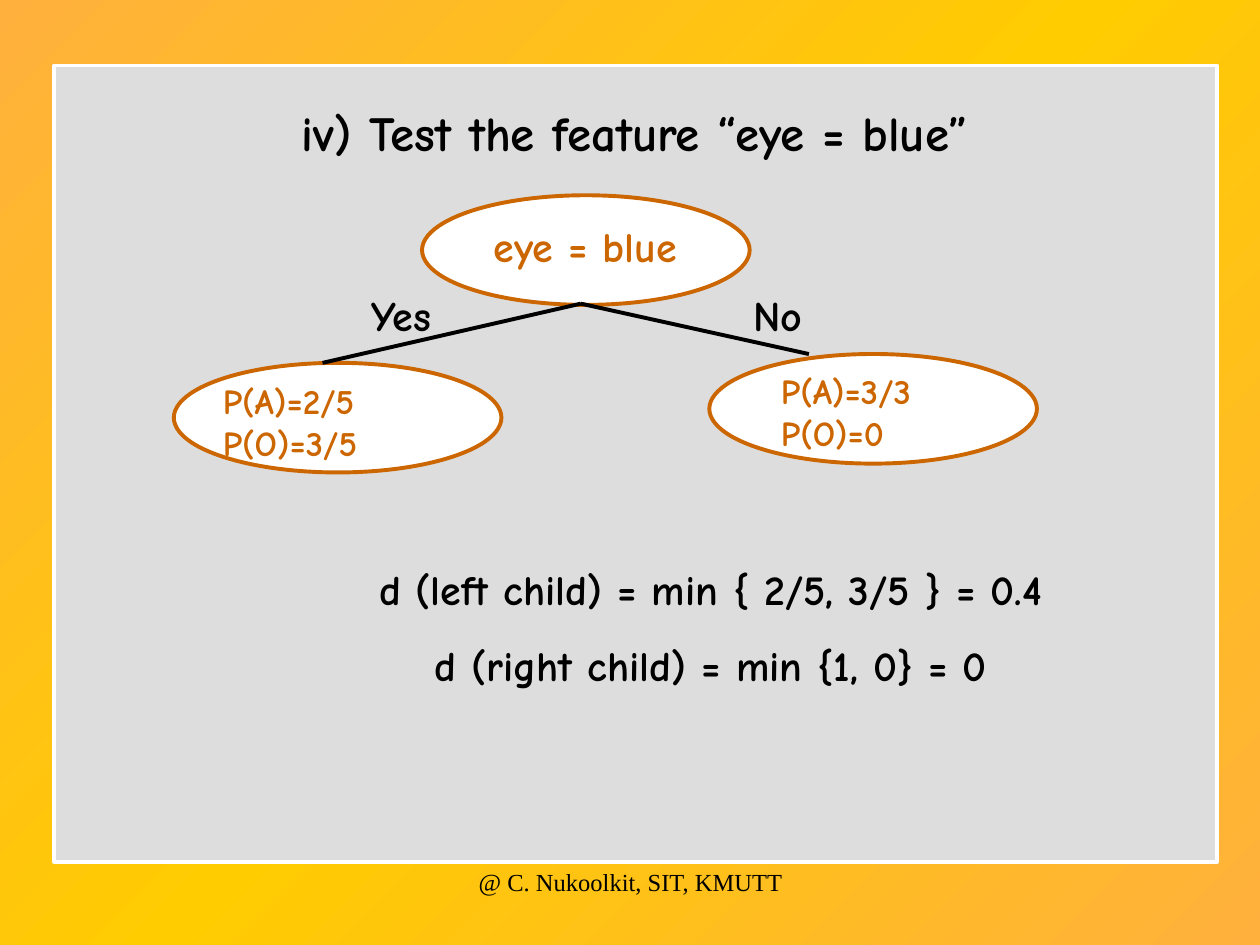
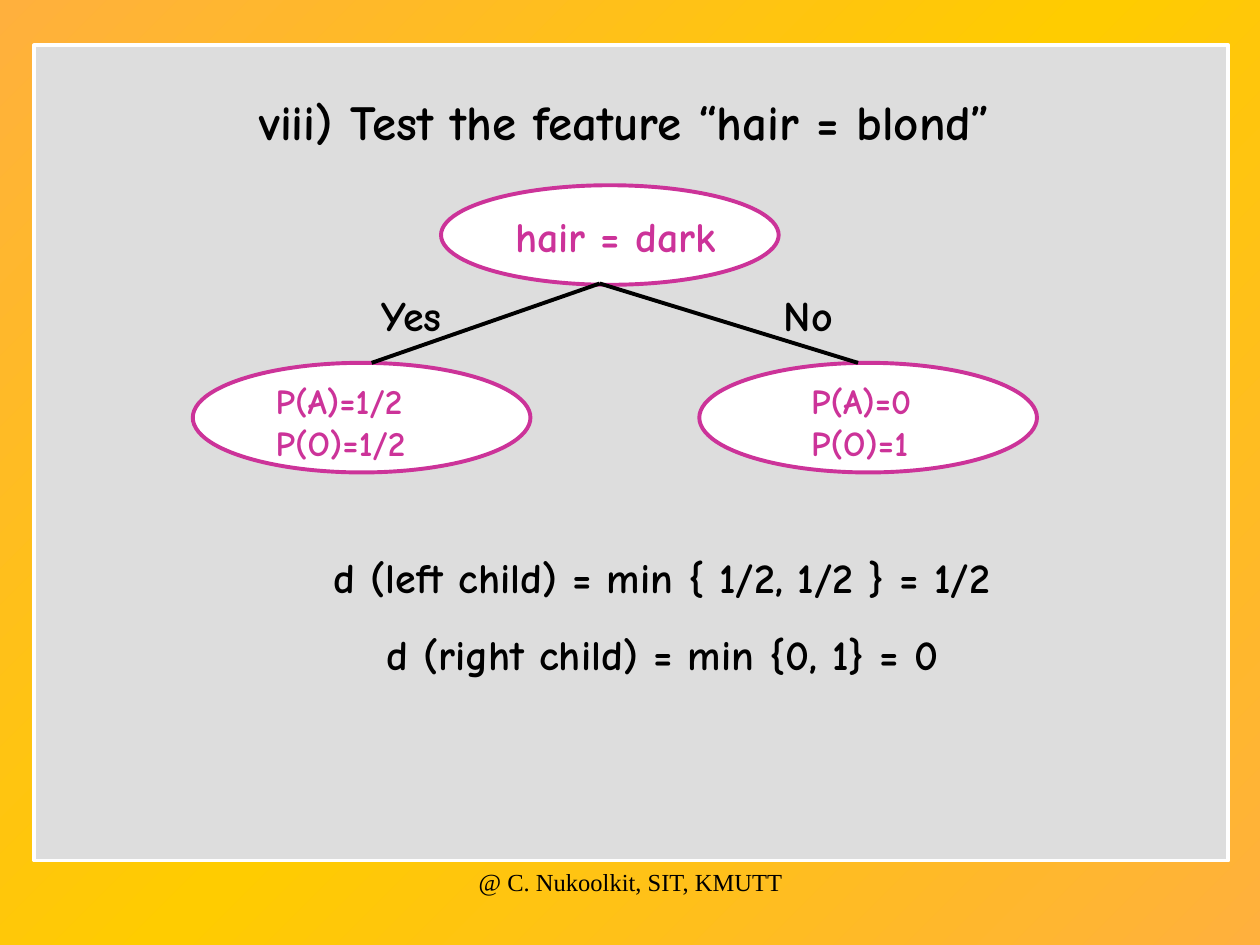
"""Build two decision-tree slides that test one feature each."""
from copy import deepcopy

from lxml import etree
from pptx import Presentation
from pptx.dml.color import RGBColor
from pptx.enum.shapes import MSO_CONNECTOR, MSO_SHAPE
from pptx.enum.text import MSO_ANCHOR, PP_ALIGN
from pptx.oxml.ns import qn
from pptx.util import Inches, Pt

RECTANGLE, OVAL = MSO_SHAPE.RECTANGLE, MSO_SHAPE.OVAL
STRAIGHT = MSO_CONNECTOR.STRAIGHT
TOP = MSO_ANCHOR.TOP
LEFT, CENTER = PP_ALIGN.LEFT, PP_ALIGN.CENTER
BLACK, WHITE, GREY = "000000", "FFFFFF", "DDDDDD"
ORANGE, PINK = "CC6600", "CC3399"
GRADIENT = [("FFB03D", 0), ("FFCC00", 0.5), ("FFB03D", 1)]
LINE_WIDTH = Pt(2.25)


def rgb(color):
    return RGBColor.from_string(color)


def write(slide, text, box, size=24, color=BLACK, bold=True, font="Comic Neue",
          align=CENTER, gap=0, holder=None):
    area = [Inches(n) for n in box]
    holder = holder or slide.shapes.add_textbox(*area)
    holder.left, holder.top, holder.width, holder.height = area
    frame = holder.text_frame
    frame.word_wrap = True
    frame.vertical_anchor = TOP
    frame.text = text
    for index, paragraph in enumerate(frame.paragraphs):
        paragraph.alignment = align
        paragraph.space_before = Pt(gap if index else 0)
        for run in paragraph.runs:
            run.font.size, run.font.bold, run.font.name = Pt(size), bold, font
            run.font.color.rgb = rgb(color)


TESTS = [
    dict(
        accent=ORANGE,
        panel=(0.43, 0.52, 9.23, 6.32),
        title=("iv) Test the feature “eye = blue”", (0.43, 0.76, 9.21, 1.28)),
        nodes=[(3.35, 1.55, 2.6, 0.87), (5.63, 2.81, 2.6, 0.87), (1.38, 2.88, 2.6, 0.87)],
        question=("eye = blue", (3.11, 1.7, 3.07, 0.5)),
        leaves=[("P(A)=2/5\vP(O)=3/5", (1.67, 2.96, 1.92, 0.77)),
                ("P(A)=3/3\vP(O)=0", (6.1, 2.88, 1.73, 0.77))],
        fork=(4.61, 2.41),
        branch_ends=[(2.56, 2.88), (6.42, 2.81)],
        answers=[("Yes", 2.32), ("No", 5.31)],
        distances=("d (left child) = min { 2/5, 3/5 } = 0.4\n"
                   "d (right child) = min {1, 0} = 0", (2.17, 4.42, 6.94, 1.11)),
    ),
    dict(
        accent=PINK,
        panel=(0.27, 0.36, 9.48, 6.47),
        title=("viii) Test the feature “hair = blond”", (0.35, 0.68, 9.21, 1.28)),
        nodes=[(3.5, 1.47, 2.68, 0.79), (1.53, 2.88, 2.68, 0.87), (5.55, 2.88, 2.68, 0.87)],
        question=("hair = dark", (3.35, 1.62, 3.07, 0.5)),
        leaves=[("P(A)=1/2\vP(O)=1/2", (2.09, 2.96, 1.73, 0.77)),
                ("P(A)=0\vP(O)=1", (6.34, 2.96, 1.73, 0.77))],
        fork=(4.76, 2.25),
        branch_ends=[(2.95, 2.88), (6.81, 2.88)],
        answers=[("Yes", 2.4), ("No", 5.55)],
        distances=("d (left child) = min { 1/2, 1/2 } = 1/2\n"
                   "d (right child) = min {0, 1} = 0", (1.67, 4.33, 7.17, 1.11)),
    ),
]

prs = Presentation()
prs.slide_width, prs.slide_height = Inches(10), Inches(7.5)

master = prs.slide_master
backdrop = master.background.fill
backdrop.gradient()
backdrop.gradient_angle = 135
stop_list = master.element.find(".//" + qn("a:gsLst"))
stop_list.insert(1, deepcopy(stop_list[0]))
for stop, (color, position) in zip(backdrop.gradient_stops, GRADIENT):
    stop.color.rgb = rgb(color)
    stop.position = position

for test in TESTS:
    slide = prs.slides.add_slide(prs.slide_layouts[5])
    title = slide.shapes.title
    accent = test["accent"]

    outlines = [(RECTANGLE, test["panel"], GREY, WHITE)]
    outlines += [(OVAL, node, WHITE, accent) for node in test["nodes"]]
    for kind, box, fill, line in outlines:
        outline = slide.shapes.add_shape(kind, *[Inches(n) for n in box])
        outline.shadow.inherit = False
        outline.fill.solid()
        outline.fill.fore_color.rgb = rgb(fill)
        outline.line.color.rgb = rgb(line)
        outline.line.width = LINE_WIDTH
        if kind == RECTANGLE:
            title.element.addprevious(outline.element)

    write(slide, *test["title"], size=28, holder=title)
    write(slide, *test["question"], color=accent)
    for odds, box in test["leaves"]:
        write(slide, odds, box, size=20, color=accent, align=LEFT)

    for end in test["branch_ends"]:
        branch = slide.shapes.add_connector(
            STRAIGHT, *[Inches(n) for n in test["fork"] + end])
        branch.line.color.rgb = rgb(BLACK)
        branch.line.width = LINE_WIDTH
        etree.SubElement(branch.element.spPr, qn("a:effectLst"))

    for answer, left in test["answers"]:
        write(slide, answer, (left, 2.25, 1.73, 0.5))
    write(slide, *test["distances"], gap=15)
    write(slide, "@ C. Nukoolkit, SIT, KMUTT", (3.42, 6.83, 3.17, 0.5),
          size=14, bold=False, font="Times New Roman")

prs.save("out.pptx")
